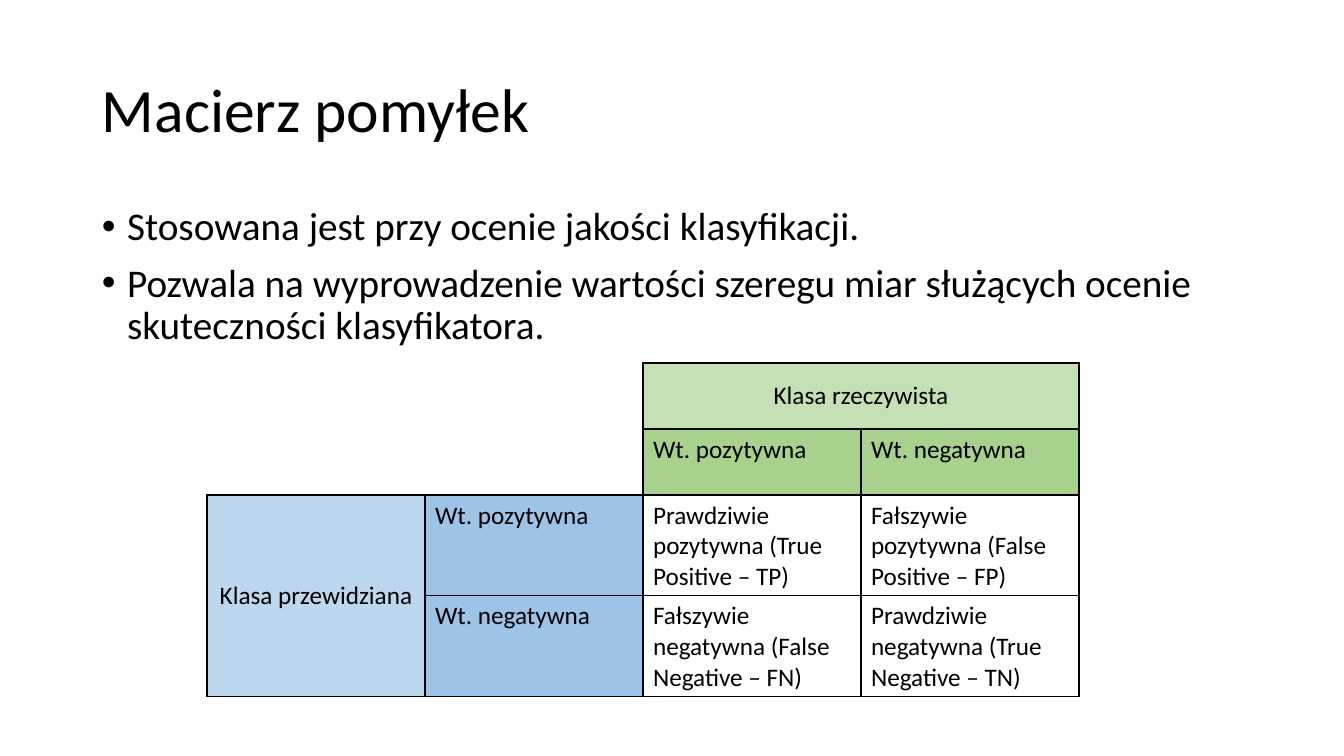
from lxml import etree
from pptx import Presentation
from pptx import util as u
from pptx.dml.color import RGBColor
from pptx.enum import text
from pptx.oxml import ns

PX = 914400 / 100.8
BLACK = "000000"
COLUMN, ROW = 218, 66


def px(*lengths):
    return [u.Emu(round(length * PX)) for length in lengths]


def style(para, size):
    para.font.size = u.Pt(size)
    para.font.name = "Calibri"
    para.font.color.rgb = RGBColor.from_string(BLACK)


deck = Presentation()
deck.slide_width, deck.slide_height = px(1344, 756)
page = deck.slides.add_slide(deck.slide_layouts[6])

# Title and bullet points
title = "Macierz pomyłek"
points = [
    "Stosowana jest przy ocenie jakości klasyfikacji.",
    "Pozwala na wyprowadzenie wartości szeregu miar służących ocenie skuteczności klasyfikatora.",
]
for top, height, size, lines, anchor in [
    (40, 146, 44, [title], text.MSO_ANCHOR.MIDDLE),
    (202, 480, 28, points, text.MSO_ANCHOR.TOP),
]:
    frame = page.shapes.add_textbox(*px(92, top, 1159, height)).text_frame
    frame.word_wrap = True
    frame.vertical_anchor = anchor
    frame.text = "\n".join(lines)
    for para in frame.paragraphs:
        style(para, size)
        para.line_spacing = 0.9
        if lines is points:
            para.space_before = u.Pt(10)
            props = para._p.get_or_add_pPr()
            props.set("marL", str(u.Inches(0.25)))
            props.set("indent", str(-u.Inches(0.25)))
            etree.SubElement(props, ns.qn("a:buFont")).set("typeface", "Arial")
            etree.SubElement(props, ns.qn("a:buChar")).set("char", "•")

# Confusion matrix
labels = [
    ["", "", "Klasa rzeczywista", ""],
    ["", "", "Wt. pozytywna", "Wt. negatywna"],
    ["Klasa przewidziana", "Wt. pozytywna",
     "Prawdziwie pozytywna (True Positive – TP)", "Fałszywie pozytywna (False Positive – FP)"],
    ["", "Wt. negatywna",
     "Fałszywie negatywna (False Negative – FN)", "Prawdziwie negatywna (True Negative – TN)"],
]
actual_fills = ["C5E0B4", "A9D18E"]
predicted_fills = ["BDD7EE", "9DC3E6"]

matrix = page.shapes.add_table(4, 4, *px(207, 363, 4 * COLUMN, 4 * ROW)).table
matrix.first_row = matrix.horz_banding = False
for column in matrix.columns:
    column.width = px(COLUMN)[0]
for row in matrix.rows:
    row.height = px(ROW)[0]
for first, last in [((0, 0), (1, 1)), ((0, 2), (0, 3)), ((2, 0), (3, 0))]:
    matrix.cell(*first).merge(matrix.cell(*last))

for r, row_labels in enumerate(labels):
    for c, label in enumerate(row_labels):
        cell = matrix.cell(r, c)
        cell.text = label
        para = cell.text_frame.paragraphs[0]
        style(para, 18)
        if label.startswith("Klasa"):
            cell.vertical_anchor = text.MSO_ANCHOR.MIDDLE
            para.alignment = text.PP_ALIGN.CENTER

        corner = r < 2 and c < 2
        if corner or (r >= 2 and c >= 2):
            cell.fill.background()
        else:
            cell.fill.solid()
            color = actual_fills[r] if r < 2 else predicted_fills[c]
            cell.fill.fore_color.rgb = RGBColor.from_string(color)

        props = cell._tc.get_or_add_tcPr()
        for position, side in enumerate(["lnL", "lnR", "lnT", "lnB"]):
            line = etree.Element(ns.qn(f"a:{side}"), w=str(u.Pt(1)))
            if corner and side in ("lnL", "lnT"):
                etree.SubElement(line, ns.qn("a:noFill"))
            else:
                solid = etree.SubElement(line, ns.qn("a:solidFill"))
                etree.SubElement(solid, ns.qn("a:srgbClr")).set("val", BLACK)
            props.insert(position, line)

deck.save("out.pptx")
